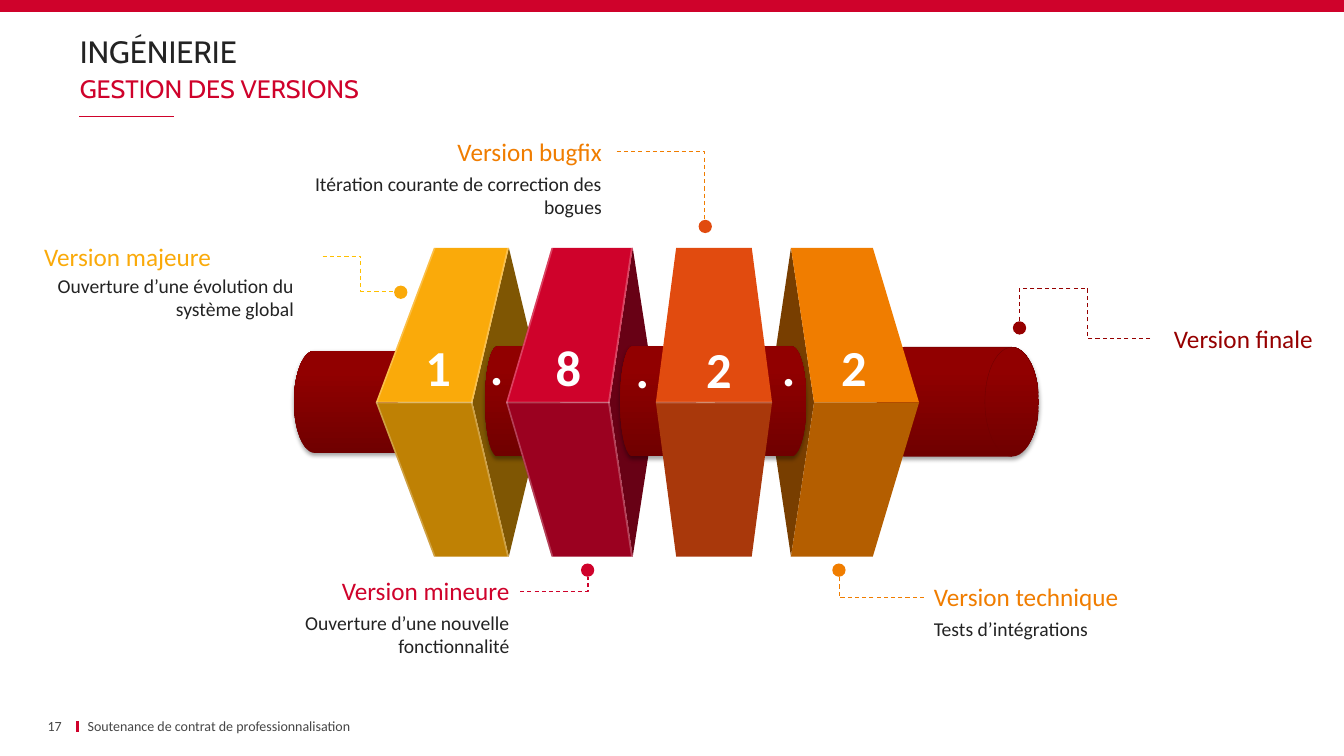
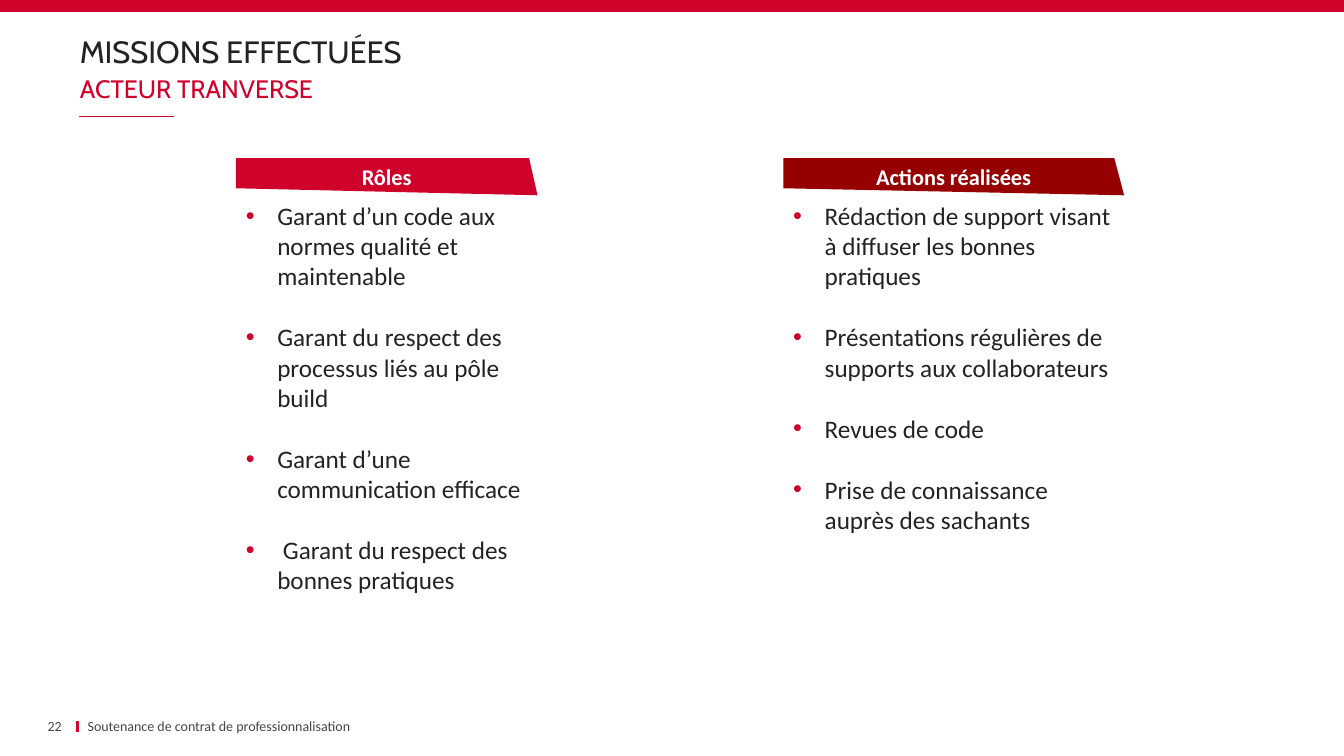
from dataclasses import dataclass
from typing import Any, NamedTuple, Optional

import pptx
import pptx.dml.color
import pptx.enum.dml
import pptx.enum.shapes
import pptx.enum.text
import pptx.oxml
import pptx.oxml.ns
import pptx.util
from lxml import etree

Pt = pptx.util.Pt
RGB = pptx.dml.color.RGBColor.from_string
SHAPE = pptx.enum.shapes.MSO_SHAPE
ALIGN = pptx.enum.text.PP_ALIGN
ANCHOR = pptx.enum.text.MSO_ANCHOR
qn = pptx.oxml.ns.qn
Point = tuple[float, float]


@dataclass(frozen=True)
class Theme:
    red: str = "CF022B"
    dark_red: str = "960000"
    yellow: str = "FAAA0A"
    gold: str = "FFC000"
    orange: str = "F07D00"
    vermilion: str = "E14B0F"
    shaft_low: str = "700000"
    shaft_high: str = "910000"
    ink: str = "232323"
    grey: str = "464646"
    white: str = "FFFFFF"
    heading: str = "Cabin"
    body: str = "Calibri"
    title_size: float = 22
    label_size: float = 18
    banner_size: float = 16
    detail_size: float = 14
    footer_size: float = 10
    digit_size: float = 36


T = Theme()


class Box(NamedTuple):
    x: float
    y: float
    w: float
    h: float


@dataclass(frozen=True)
class Block:
    mid: Point
    top: Point
    face: str
    under: str
    side: Optional[str] = None
    side_edge: int = 1
    tip: float = 0
    edges: bool = False
    seam: bool = False


@dataclass(frozen=True)
class Label:
    text: str
    box: Box
    color: str
    align: Any
    detail: str = ""
    detail_box: Optional[Box] = None


@dataclass(frozen=True)
class Leader:
    begin: Point
    end: Point
    color: str
    dot: Point
    dot_color: str
    kind: str = "bentConnector2"
    adjust: tuple[float, ...] = ()


@dataclass(frozen=True)
class Column:
    title: str
    x: float
    w: float
    slant: float
    color: str
    items: tuple[str, ...]


TOP, MIDDLE, BOTTOM = 177, 287.5, 397.5
DOT = 9.5
BLOCKS = (
    Block((268.5, 337.5), (310, 363.5), T.yellow, "BF8104", "7F5603", 1, 390, True, True),
    Block((361.5, 435.5), (394, 452), T.red, "9B0120", "680115", 1, 469, True, True),
    Block((468.5, 551.5), (483, 537), T.vermilion, "A9380B", seam=True),
    Block((581.5, 656.5), (565, 623.5), T.orange, "B45E00", "783E00", 0, 548.5),
)
SHAFT = (
    (SHAPE.FLOWCHART_STORED_DATA, Box(210, 250.5, 88.5, 73)),
    (SHAPE.FLOWCHART_TERMINATOR, Box(346.5, 247.5, 54, 78.5)),
    (SHAPE.FLOWCHART_TERMINATOR, Box(443, 247.5, 54, 78.5)),
    (SHAPE.FLOWCHART_TERMINATOR, Box(511, 247.5, 65, 78.5)),
    (SHAPE.FLOWCHART_DIRECT_ACCESS_STORAGE, Box(626.5, 248, 115.5, 78)),
)
DIGITS = (
    ("1", Box(296.5, 236, 33, 51)), (".", Box(342.5, 235.5, 24.5, 51)),
    ("8", Box(389.5, 236, 33, 51)), (".", Box(446.5, 237.5, 24.5, 51)),
    ("2", Box(497, 237.5, 33, 51)), (".", Box(551, 236, 24.5, 51)),
    ("2", Box(593.5, 236, 33, 51)),
)
LABELS = (
    Label("Version majeure", Box(24.5, 168.5, 205, 29), T.yellow, ALIGN.LEFT,
          "Ouverture d’une évolution du système global", Box(24, 192, 193, 41)),
    Label("Version mineure", Box(159, 407.5, 212, 29), T.red, ALIGN.RIGHT,
          "Ouverture d’une nouvelle fonctionnalité", Box(140, 432.5, 231, 41)),
    Label("Version bugfix", Box(145, 93.5, 292, 29), T.orange, ALIGN.RIGHT,
          "Itération courante de correction des bogues", Box(185, 119, 252, 41)),
    Label("Version finale", Box(831.5, 227.5, 119, 29), T.dark_red, ALIGN.LEFT),
    Label("Version technique", Box(660, 412, 247, 29), T.orange, ALIGN.LEFT,
          "Tests d’intégrations", Box(660, 437, 231, 24.5)),
)
LEADERS = (
    Leader((440.5, 108.5), (503.5, 157), T.orange, (499, 157), T.vermilion),
    Leader((230.5, 183), (285, 208), T.gold, (281.5, 204), T.yellow, "bentConnector3", (0.5,)),
    Leader((821.5, 242), (728, 229.5), T.dark_red, (723.5, 229.5), T.dark_red,
           "bentConnector4", (0.475, 2.88)),
    Leader((371.5, 422.5), (420, 412), T.red, (415, 402.5), T.red),
    Leader((660, 427), (599.5, 412), T.orange, (594.5, 402.5), T.orange),
)
COLUMNS = (
    Column("Rôles", 168.5, 215.5, 6, T.red, (
        "Garant d’un code aux normes qualité et maintenable",
        "Garant du respect des processus liés au pôle build",
        "Garant d’une communication efficace",
        " Garant du respect des bonnes pratiques")),
    Column("Actions réalisées", 559.5, 243.5, 7, T.dark_red, (
        "Rédaction de support visant à diffuser les bonnes pratiques",
        "Présentations régulières de supports aux collaborateurs",
        "Revues de code",
        "Prise de connaissance auprès des sachants")),
)


def emu(values: tuple[float, ...]) -> list[int]:
    return [Pt(v) for v in values]


def paint(sp: Any, color: str) -> Any:
    sp.shadow.inherit = False
    sp.fill.solid()
    sp.fill.fore_color.rgb = RGB(color)
    sp.line.fill.background()
    return sp


def shape(s: Any, kind: Any, box: Box, color: str) -> Any:
    return paint(s.shapes.add_shape(kind, *emu(box)), color)


def polygon(s: Any, points: list[Point], color: str) -> Any:
    first, *rest = [tuple(emu(p)) for p in points]
    fb = s.shapes.build_freeform(*first)
    fb.add_line_segments(rest, close=True)
    return paint(fb.convert_to_shape(), color)


def style(p: Any, text: str, size: float, color: str, font: str = T.body,
          align: Any = ALIGN.LEFT, bold: bool = False) -> None:
    p.text = text
    p.alignment = align
    p.font.name, p.font.size, p.font.bold = font, Pt(size), bold
    p.font.color.rgb = RGB(color)


def text_box(s: Any, box: Box, wrap: bool = True, anchor: Any = ANCHOR.TOP,
             left: float = 7.2, right: float = 7.2) -> Any:
    tf = s.shapes.add_textbox(*emu(box)).text_frame
    tf.word_wrap, tf.vertical_anchor = wrap, anchor
    tf.margin_left, tf.margin_right = Pt(left), Pt(right)
    return tf


def line(s: Any, begin: Point, end: Point, color: str, width: float,
         kind: Any = pptx.enum.shapes.MSO_CONNECTOR.STRAIGHT) -> Any:
    c = s.shapes.add_connector(kind, *emu(begin + end))
    c.line.color.rgb = RGB(color)
    c.line.width = Pt(width)
    return c


def drop_shadow(c: Any) -> None:
    etree.SubElement(c._element.spPr, qn("a:effectLst"))


def leader(s: Any, item: Leader) -> None:
    turned = item.begin[0] > item.end[0] and item.begin[1] > item.end[1]
    ends = (item.end, item.begin) if turned else (item.begin, item.end)
    c = line(s, *ends, item.color, 0.75, pptx.enum.shapes.MSO_CONNECTOR.ELBOW)
    c.line.dash_style = pptx.enum.dml.MSO_LINE.DASH
    drop_shadow(c)
    if turned:
        c._element.spPr.find(qn("a:xfrm")).set("rot", "10800000")
    geom = c._element.spPr.find(qn("a:prstGeom"))
    geom.set("prst", item.kind)
    guides = geom.find(qn("a:avLst"))
    for i, value in enumerate(item.adjust, 1):
        etree.SubElement(guides, qn("a:gd"), name=f"adj{i}", fmla=f"val {round(value * 100000)}")
    shape(s, SHAPE.OVAL, Box(*item.dot, DOT, DOT), item.dot_color)


def shaft_part(s: Any, kind: Any, box: Box) -> None:
    sp = shape(s, kind, box, T.shaft_high)
    sp.fill.gradient()
    sp.fill.gradient_angle = 90
    for stop, color, position in zip(sp.fill.gradient_stops, (T.shaft_low, T.shaft_high), (0, 0.8)):
        stop.color.rgb = RGB(color)
        stop.position = position
    if kind == SHAPE.FLOWCHART_DIRECT_ACCESS_STORAGE:
        sp.line.color.rgb = RGB(T.shaft_low)
        sp.line.width = Pt(0.25)
    effects = sp._element.spPr.find(qn("a:effectLst"))
    shadow = etree.SubElement(effects, qn("a:outerShdw"), blurRad=str(Pt(3.1)), dist=str(Pt(1.8)),
                              dir="5400000", rotWithShape="0")
    black = etree.SubElement(shadow, qn("a:srgbClr"), val="000000")
    etree.SubElement(black, qn("a:alpha"), val="35000")


def glint(s: Any, points: list[Point]) -> None:
    sp = polygon(s, points, T.white)
    color = sp._element.spPr.find(qn("a:solidFill"))[0]
    etree.SubElement(color, qn("a:alpha"), val="25000")


def block_side(s: Any, b: Block) -> None:
    if b.side:
        mid, top = b.mid[b.side_edge], b.top[b.side_edge]
        polygon(s, [(mid, MIDDLE), (top, TOP), (b.tip, MIDDLE), (top, BOTTOM)], b.side)


def block_faces(s: Any, b: Block) -> None:
    (ml, mr), (tl, tr) = b.mid, b.top
    for y, color in ((TOP, b.face), (BOTTOM, b.under)):
        polygon(s, [(ml, MIDDLE), (tl, y), (tr, y), (mr, MIDDLE)], color)
    if b.seam:
        glint(s, [(ml, MIDDLE - 0.7), (mr, MIDDLE - 0.7), (mr, MIDDLE + 0.7), (ml, MIDDLE + 0.7)])
    if b.edges:
        for m, t, w in ((ml, tl, 1.2), (mr, tr, -1.2)):
            glint(s, [(m, MIDDLE), (t, TOP), (t + w, TOP), (m + w, MIDDLE),
                      (t + w, BOTTOM), (t, BOTTOM)])


def base_slide(prs: Any, title: str, subtitle: str, number: str) -> Any:
    s = prs.slides.add_slide(prs.slide_layouts[6])
    drop_shadow(line(s, (55.5, 515), (55.5, 523), T.red, 2.25))
    drop_shadow(line(s, (56.5, 83), (124, 83), T.red, 1))
    shape(s, SHAPE.RECTANGLE, Box(0, 0, 960, 8.5), T.red)
    tf = text_box(s, Box(57, 25, 844.5, 26), anchor=ANCHOR.MIDDLE, left=0, right=0)
    style(tf.paragraphs[0], title, T.title_size, T.ink, T.heading)
    tf.paragraphs[0].line_spacing = 0.9
    tf = text_box(s, Box(57, 52, 844.5, 22), anchor=ANCHOR.MIDDLE, left=0, right=0)
    style(tf.paragraphs[0], subtitle, T.label_size, T.red, T.heading)
    tf = text_box(s, Box(55.5, 512, 477.5, 13), anchor=ANCHOR.MIDDLE)
    style(tf.paragraphs[0], "Soutenance de contrat de professionnalisation", T.footer_size, T.grey)
    tf = text_box(s, Box(13, 512, 31, 13), anchor=ANCHOR.MIDDLE, left=0, right=0)
    style(tf.paragraphs[0], number, T.footer_size, T.grey, align=ALIGN.RIGHT)
    return s


def versions_slide(prs: Any) -> None:
    s = base_slide(prs, "INGÉNIERIE", "GESTION DES VERSIONS", "17")
    for b in BLOCKS:
        block_side(s, b)
    for kind, box in SHAFT:
        shaft_part(s, kind, box)
    for b in BLOCKS:
        block_faces(s, b)
    for text, box in DIGITS:
        tf = text_box(s, box, wrap=False, anchor=ANCHOR.MIDDLE)
        style(tf.paragraphs[0], text, T.digit_size, T.white, align=ALIGN.CENTER, bold=True)
    for label in LABELS:
        tf = text_box(s, label.box)
        style(tf.paragraphs[0], label.text, T.label_size, label.color, align=label.align)
        if label.detail_box:
            tf = text_box(s, label.detail_box)
            align = ALIGN.LEFT if label.box.x == label.detail_box.x else ALIGN.RIGHT
            style(tf.paragraphs[0], label.detail, T.detail_size, T.ink, align=align)
    for item in LEADERS:
        leader(s, item)


def bullet(p: Any) -> None:
    pPr = p._p.get_or_add_pPr()
    pPr.set("marL", str(Pt(22.5)))
    pPr.set("indent", str(-Pt(22.5)))
    color = etree.Element(qn("a:buClr"))
    etree.SubElement(color, qn("a:srgbClr"), val=T.red)
    font = etree.Element(qn("a:buFont"), typeface="Arial")
    char = etree.Element(qn("a:buChar"), char="•")
    at = len(pPr.findall(qn("a:lnSpc")) + pPr.findall(qn("a:spcBef")))
    for i, node in enumerate((color, font, char)):
        pPr.insert(at + i, node)


def missions_slide(prs: Any) -> None:
    s = base_slide(prs, "MISSIONS EFFECTUÉES", "ACTEUR TRANVERSE", "22")
    for col in COLUMNS:
        right = col.x + col.w
        sp = polygon(s, [(col.x, 113), (right - col.slant, 113), (right, 139.5), (col.x, 134.5)],
                     col.color)
        sp.text_frame.vertical_anchor = ANCHOR.MIDDLE
        style(sp.text_frame.paragraphs[0], col.title, T.banner_size, T.white,
              align=ALIGN.CENTER, bold=True)
        tf = text_box(s, Box(col.x, 139.5, col.w, 310))
        for i, item in enumerate(col.items):
            p = tf.add_paragraph() if i else tf.paragraphs[0]
            style(p, item, T.label_size, T.ink)
            p.space_before = Pt(22 if i else 0)
            bullet(p)


def main() -> None:
    prs = pptx.Presentation()
    prs.slide_width, prs.slide_height = Pt(960), Pt(540)
    versions_slide(prs)
    missions_slide(prs)
    prs.save("out.pptx")


if __name__ == "__main__":
    main()
